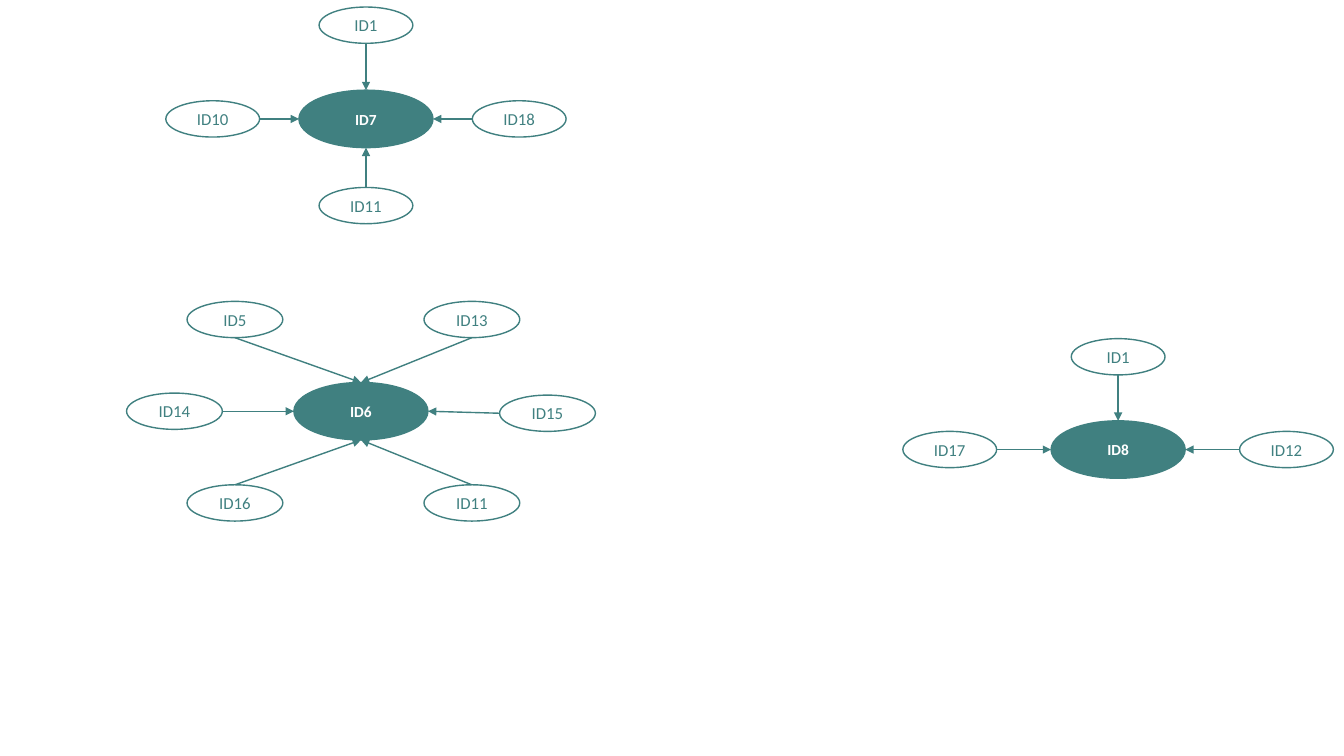
from dataclasses import dataclass
from lxml.etree import SubElement
from pptx import Presentation
from pptx.dml.color import RGBColor as Rgb
from pptx.enum.shapes import MSO_CONNECTOR as Link, MSO_SHAPE as Shape
from pptx.enum.text import MSO_ANCHOR as Anchor, PP_ALIGN as Align
from pptx.oxml.ns import qn
from pptx.util import Inches, Pt


@dataclass(frozen=True)
class Theme:
    """Hold the colours, type sizes and line width."""
    teal: Rgb = Rgb(0x40, 0x80, 0x80)
    white: Rgb = Rgb(0xFF, 0xFF, 0xFF)
    font: str = "Calibri"
    hub: Pt = Pt(11)
    leaf: Pt = Pt(12)
    line: Pt = Pt(1)


THEME = Theme()
HUB = (1.33, 0.57)
DROP = 1.1


def oval(slide, name, mid, size, hub=False):
    """Draw a labelled ellipse around its centre."""
    (x, y), (wide, high) = mid, size
    node = slide.shapes.add_shape(
        Shape.OVAL, Inches(x - wide / 2), Inches(y - high / 2),
        Inches(wide), Inches(high))
    node.shadow.inherit = False
    node.fill.solid()
    node.fill.fore_color.rgb = THEME.teal if hub else THEME.white
    node.line.color.rgb = THEME.teal
    node.line.width = THEME.line
    frame = node.text_frame
    frame.text = name
    frame.vertical_anchor = Anchor.MIDDLE
    para = frame.paragraphs[0]
    para.alignment = Align.CENTER
    font = para.runs[0].font
    font.name = THEME.font
    font.size = THEME.hub if hub else THEME.leaf
    font.bold = hub
    font.color.rgb = THEME.white if hub else THEME.teal


def arrow(slide, start, end):
    """Draw a line with an arrowhead at its end."""
    line = slide.shapes.add_connector(
        Link.STRAIGHT, *(Inches(v) for v in (*start, *end)))
    line.line.color.rgb = THEME.teal
    line.line.width = THEME.line
    SubElement(line.line._get_or_add_ln(), qn("a:tailEnd"), type="triangle")
    SubElement(line._element.spPr, qn("a:effectLst"))


def port(mid, size, side):
    """Find the point on one side of an ellipse."""
    return tuple(m + s / 2 * d for m, s, d in zip(mid, size, side))


def toward(dx, dy):
    """Choose the hub side that faces a leaf."""
    if abs(dy) > HUB[1]:
        return 0, 1 if dy > 0 else -1
    return 1 if dx > 0 else -1, 0


def star(slide, box, name, size, leaves):
    """Place a hub in its box, with leaves offset from the hub."""
    left, top, wide = box
    mid = left + wide / 2, top + DROP
    oval(slide, name, mid, HUB, hub=True)
    for label, dx, dy in leaves:
        spot = mid[0] + dx, mid[1] + dy
        side = toward(dx, dy)
        back = tuple(-d for d in side)
        oval(slide, label, spot, size)
        arrow(slide, port(spot, size, back), port(mid, HUB, side))


def main():
    """Build the slide with its three stars."""
    deck = Presentation()
    deck.slide_width, deck.slide_height = Inches(13.33), Inches(7.5)
    slide = deck.slides.add_slide(deck.slide_layouts[6])
    small, large = (0.93, 0.36), (0.95, 0.36)
    star(slide, (1.65, 0.08, 3.96), "ID7", small, [
        ("ID1", 0, -0.93), ("ID10", -1.52, 0),
        ("ID11", 0, 0.86), ("ID18", 1.52, 0)])
    star(slide, (1.26, 2.98, 4.64), "ID6", large, [
        ("ID5", -1.25, -0.91), ("ID13", 1.1, -0.91),
        ("ID14", -1.85, 0), ("ID15", 1.85, 0.02),
        ("ID16", -1.25, 0.91), ("ID11", 1.1, 0.91)])
    star(slide, (8.96, 3.36, 4.26), "ID8", small, [
        ("ID1", 0, -0.92), ("ID17", -1.67, 0), ("ID12", 1.67, 0)])
    deck.save("out.pptx")


main()
